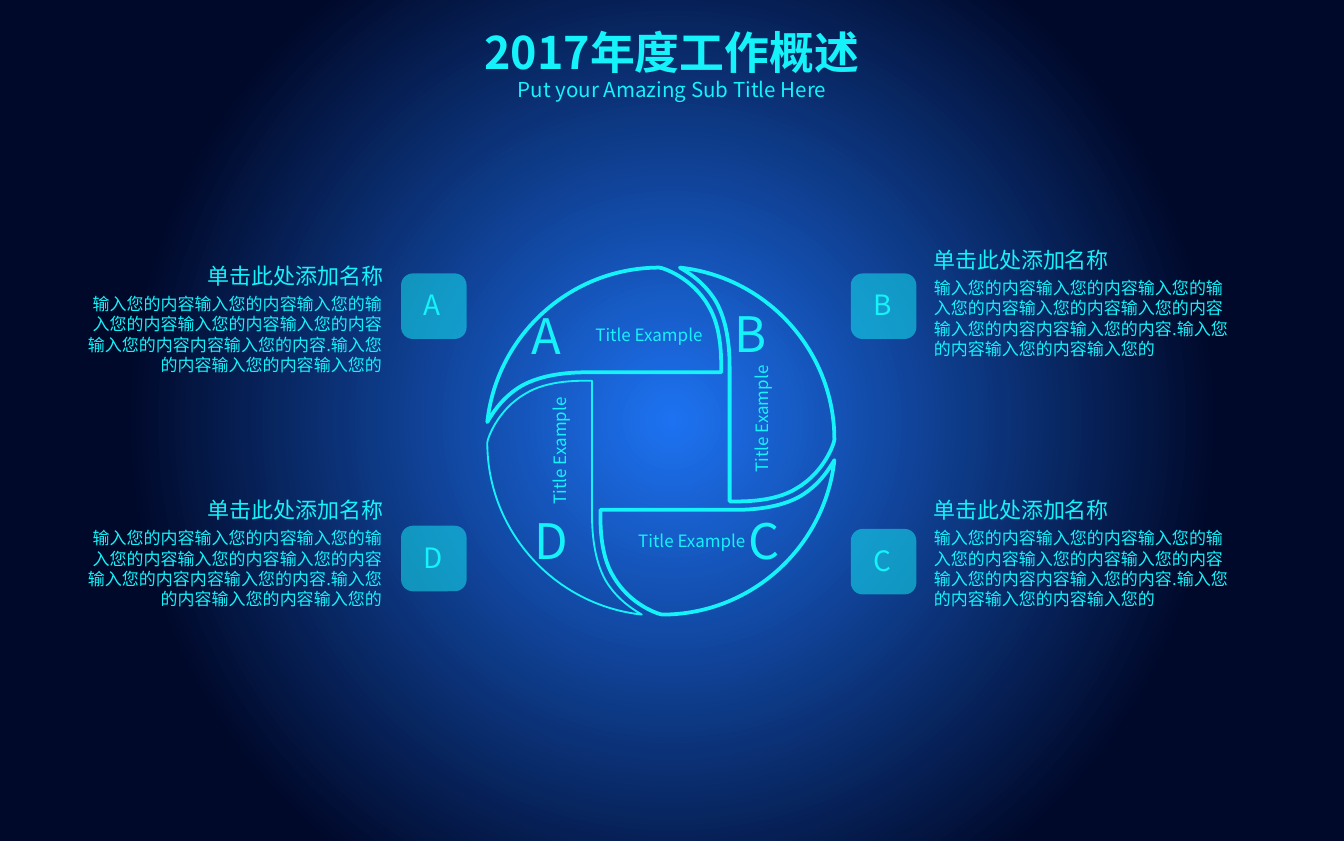
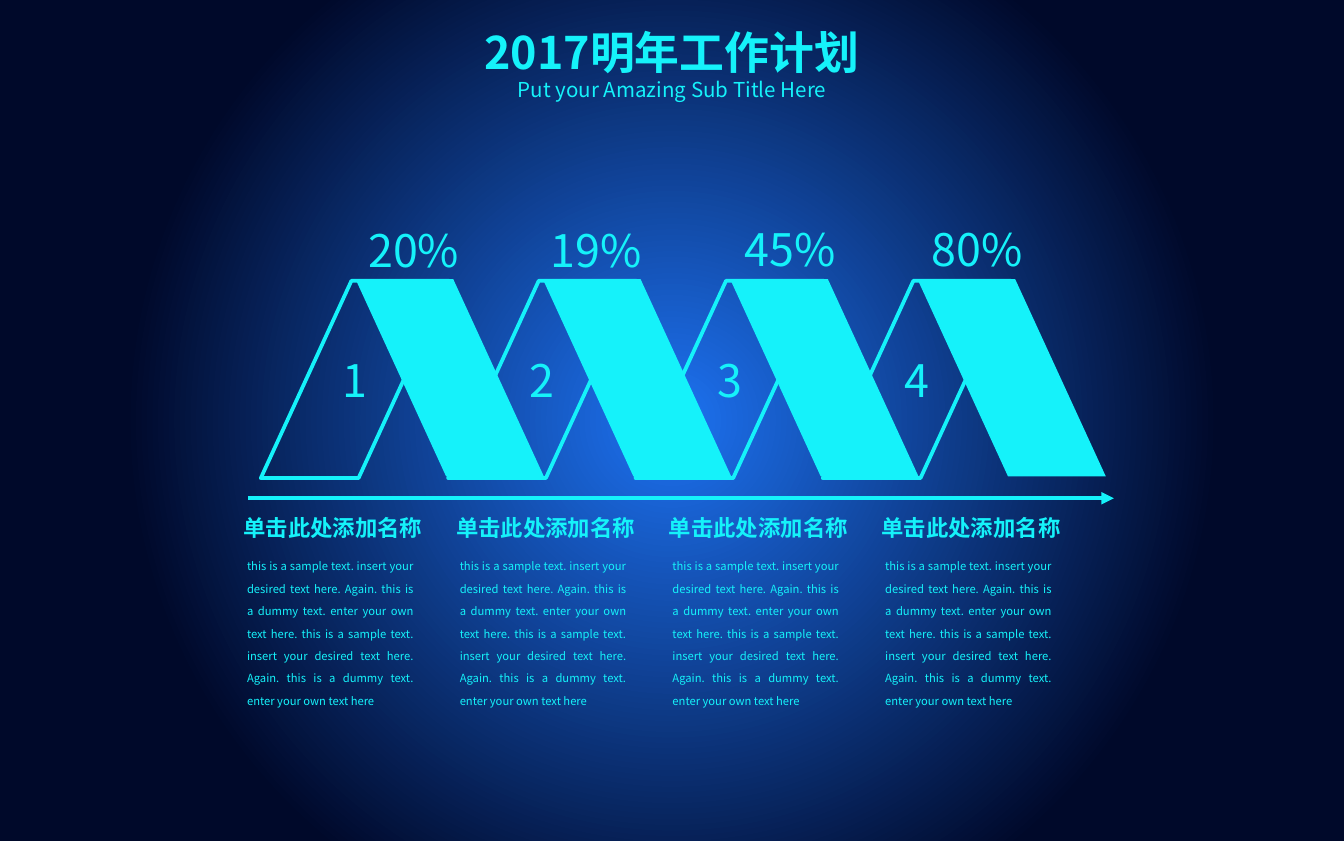
from lxml import etree
from pptx import Presentation
from pptx.dml.color import RGBColor
from pptx.enum.shapes import MSO_CONNECTOR, MSO_SHAPE
from pptx.enum.text import MSO_ANCHOR, MSO_AUTO_SIZE, PP_ALIGN
from pptx.oxml.ns import qn
from pptx.util import Cm, Pt

LEFT, CENTER, RIGHT, JUSTIFY = PP_ALIGN.LEFT, PP_ALIGN.CENTER, PP_ALIGN.RIGHT, PP_ALIGN.JUSTIFY
TOP, MIDDLE = MSO_ANCHOR.TOP, MSO_ANCHOR.MIDDLE
ROUND_RECT, PARALLELOGRAM = MSO_SHAPE.ROUNDED_RECTANGLE, MSO_SHAPE.PARALLELOGRAM
FIT, STRAIGHT = MSO_AUTO_SIZE.SHAPE_TO_FIT_TEXT, MSO_CONNECTOR.STRAIGHT

COLORS = {"cyan": "15F2FA", "glow": "1D72F1", "night": "00092A"}
FONT = "Noto Sans CJK SC"
STYLES = {
    "title": {"size": Pt(24), "bold": True},
    "subtitle": {"size": Pt(11), "bold": False},
    "letter": {"size": Pt(26.2)},
    "label": {"size": Pt(9.1)},
    "badge": {"size": Pt(15)},
    "head": {"size": Pt(11.8)},
    "number": {"size": Pt(24)},
    "column_head": {"size": Pt(12), "bold": True},
    "column_body": {"size": Pt(6)},
}
SUBTITLE = "Put your Amazing Sub Title Here"
HEAD = "单击此处添加名称"
BODY = ("输入您的内容输入您的内容输入您的输入您的内容输入您的内容输入您的内容"
        "输入您的内容内容输入您的内容.输入您的内容输入您的内容输入您的")
SAMPLE = ("this is a sample text. insert your desired text here. Again. "
          "this is a dummy text. enter your own text here. "
          "this is a sample text. insert your desired text here. Again. "
          "this is a dummy text. enter your own text here")

# Blade A in cm from the wheel centre: a start, then lines (1 point) and curves (3 points)
BLADE_START = (-2.64, -1.04)
BLADE = [
    [(-2.24, -1.27), (-1.7, -1.3), (-1.42, -1.3)],
    [(-1.32, -1.3), (-1.24, -1.3), (-1.24, -1.3)],
    [(1.14, -1.3)],
    [(1.14, -1.47), (1.17, -2.13), (0.89, -2.57)],
    [(0.58, -3.1), (0.03, -3.28), (-0.03, -3.28)],
    [(-1.7, -3.28), (-3.1, -2.01), (-3.28, -0.36)],
    [(-3.15, -0.58), (-2.97, -0.84), BLADE_START],
]
# Letter, line width, letter offset, label offset, label rotation; clockwise
BLADES = [
    ("A", 2, (-2.44, -2.57), (-1.85, -2.21), 0),
    ("B", 2, (1.4, -2.59), (0.58, -0.3), 270),
    ("C", 2, (1.65, 1.32), (-1.04, 1.7), 0),
    ("D", 1, (-2.39, 1.32), (-3.23, 0.3), 270),
]
# Letter, badge left and top, text left and top, alignment
NOTES = [
    ("A", 7.58, 5.17, 1.47, 4.96, RIGHT),
    ("B", 16.08, 5.17, 17.64, 4.66, LEFT),
    ("C", 16.08, 10, 17.64, 9.39, LEFT),
    ("D", 7.58, 9.94, 1.47, 9.39, RIGHT),
]
# Percentage, left, top
RATES = [("20%", 6.71, 4.09), ("19%", 10.16, 4.09), ("45%", 13.83, 4.06), ("80%", 17.36, 4.06)]


def rgb(name):
    return RGBColor.from_string(COLORS[name])


def place(box):
    return [Cm(v) for v in box]


def write(shape, text, style, align=LEFT, anchor=TOP, inset=None, wrap=True, spacing=None):
    tf = shape.text_frame
    tf.word_wrap, tf.vertical_anchor = wrap, anchor
    if inset is not None:
        for side in ("left", "right", "top", "bottom"):
            setattr(tf, f"margin_{side}", Cm(inset))
    p = tf.paragraphs[0]
    for name, value in {"alignment": align, "space_before": Pt(0), "line_spacing": spacing}.items():
        setattr(p, name, value)
    r = p.add_run()
    r.text = text
    for name, value in {"name": FONT, **STYLES[style]}.items():
        setattr(r.font, name, value)
    r.font.color.rgb = rgb("cyan")
    etree.SubElement(r._r.get_or_add_rPr(), qn("a:ea"), typeface=FONT)


def add_text(s, box, text, style, **layout):
    sp = s.shapes.add_textbox(*place(box))
    write(sp, text, style, **layout)
    sp.text_frame.auto_size = FIT
    return sp


def outline(sp, width):
    sp.shadow.inherit = False
    sp.fill.background()
    sp.line.color.rgb = rgb("cyan")
    sp.line.width = Pt(width)


def solid(sp):
    sp.shadow.inherit = False
    sp.fill.solid()
    sp.fill.fore_color.rgb = rgb("cyan")
    sp.line.fill.background()


def set_background(prs):
    """Radial glow on the master, shared by every slide."""
    fill = prs.slide_master.background.fill
    fill.gradient()
    for stop, position, name in zip(fill.gradient_stops, (0, 0.69), ("glow", "night")):
        stop.position, stop.color.rgb = position, rgb(name)
    lin = next(prs.slide_master.element.iter(qn("a:lin")))
    radial = etree.Element(qn("a:path"), path="circle")
    etree.SubElement(radial, qn("a:fillToRect"), l="50000", t="50000", r="50000", b="50000")
    lin.getparent().replace(lin, radial)


def add_slide(prs, title):
    s = prs.slides.add_slide(prs.slide_layouts[0])
    parts = [(s.shapes.title, (5.2, 0.46, 14.99, 1.02), title, "title"),
             (s.placeholders[1], (7.37, 1.45, 10.67, 0.46), SUBTITLE, "subtitle")]
    for sp, box, text, style in parts:
        sp.left, sp.top, sp.width, sp.height = place(box)
        write(sp, text, style, align=CENTER, inset=0)
        sp.text_frame.auto_size = FIT
    return s


def add_blade(s, cx, cy, turns, width):
    """Draw blade A after some quarter turns clockwise."""
    points = [BLADE_START] + [point for segment in BLADE for point in segment]
    for _ in range(turns):
        points = [(-y, x) for x, y in points]
    corners = [(Cm(cx + x), Cm(cy + y)) for x, y in points]
    builder = s.shapes.build_freeform(*corners[0])
    builder.add_line_segments(corners[1:], close=True)
    sp = builder.convert_to_shape()
    # Join each run of three points into one curve
    lines = iter(list(sp._element.iter(qn("a:lnTo"))))
    for segment in BLADE:
        steps = [next(lines) for _ in segment]
        if len(steps) == 3:
            curve = etree.Element(qn("a:cubicBezTo"))
            steps[0].addprevious(curve)
            for step in steps:
                curve.append(step[0])
                step.getparent().remove(step)
    outline(sp, width)


def add_wheel(s, cx, cy):
    for turns, (letter, width, (lx, ly), (tx, ty), rotation) in enumerate(BLADES):
        add_blade(s, cx, cy, turns, width)
        add_text(s, (cx + lx, cy + ly, 1.04, 1.12), letter, "letter", inset=0)
        label = add_text(s, (cx + tx, cy + ty, 2.64, 0.38), "Title Example", "label",
                         align=RIGHT, inset=0)
        label.rotation = rotation


def add_badge(s, x, y, letter):
    sp = s.shapes.add_shape(ROUND_RECT, *place((x, y, 1.24, 1.24)))
    sp.adjustments[0] = 0.18
    solid(sp)
    color = next(sp._element.spPr.iter(qn("a:srgbClr")))
    etree.SubElement(color, qn("a:alpha"), val="50000")
    add_text(s, (x + 0.32, y + 0.16, 0.56, 0.86), letter, "badge",
             anchor=MIDDLE, inset=0.1, wrap=False)


def add_note(s, x, y, align):
    add_text(s, (x, y, 5.77, 0.51), HEAD, "head", align=align, inset=0)
    add_text(s, (x + 0.01, y + 0.59, 5.74, 1.55), BODY, "label", align=align, inset=0)


def add_zigzag(s, x, y, step=3.54):
    """Four numbered outlines, overlapped by four mirrored solid bands."""
    def band(left, top):
        sp = s.shapes.add_shape(PARALLELOGRAM, *place((left, top, 3.56, 3.73)))
        sp.adjustments[0] = 0.481
        return sp

    for i in range(4):
        sp = band(x + i * step, y)
        outline(sp, 2)
        write(sp, str(i + 1), "number", align=CENTER, anchor=MIDDLE)
    for i in range(4):
        sp = band(x + 1.79 + i * step, y - 0.03)
        solid(sp)
        sp._element.spPr.find(qn("a:xfrm")).set("flipV", "1")


def add_arrow(s, x, y, length):
    line = s.shapes.add_connector(STRAIGHT, *place((x, y, x + length, y)))
    line.line.color.rgb = rgb("cyan")
    line.line.width = Pt(2.25)
    etree.SubElement(line.line._get_or_add_ln(), qn("a:tailEnd"), type="triangle")
    etree.SubElement(line._element.spPr, qn("a:effectLst"))


def add_column(s, x, y):
    add_text(s, (x + 0.07, y + 0.7, 3.64, 3.68), SAMPLE, "column_body",
             align=JUSTIFY, spacing=Pt(12))
    add_text(s, (x, y, 3.89, 0.76), HEAD, "column_head", wrap=False)


def build_overview(prs):
    s = add_slide(prs, "2017年度工作概述")
    add_wheel(s, 12.49, 8.34)
    for letter, badge_x, badge_y, x, y, align in NOTES:
        add_badge(s, badge_x, badge_y, letter)
        add_note(s, x, y, align)


def build_plan(prs):
    s = add_slide(prs, "2017明年工作计划")
    add_zigzag(s, 4.93, 5.31)
    add_arrow(s, 4.69, 9.42, 16.36)
    for rate, x, y in RATES:
        add_text(s, (x, y, 2.26, 1.27), rate, "number", wrap=False)
    for i in range(4):
        add_column(s, 4.35 + i * 4.02, 9.59)


def main():
    prs = Presentation()
    prs.slide_width, prs.slide_height = Cm(25.4), Cm(15.9)
    set_background(prs)
    build_overview(prs)
    build_plan(prs)
    prs.save("out.pptx")


if __name__ == "__main__":
    main()
